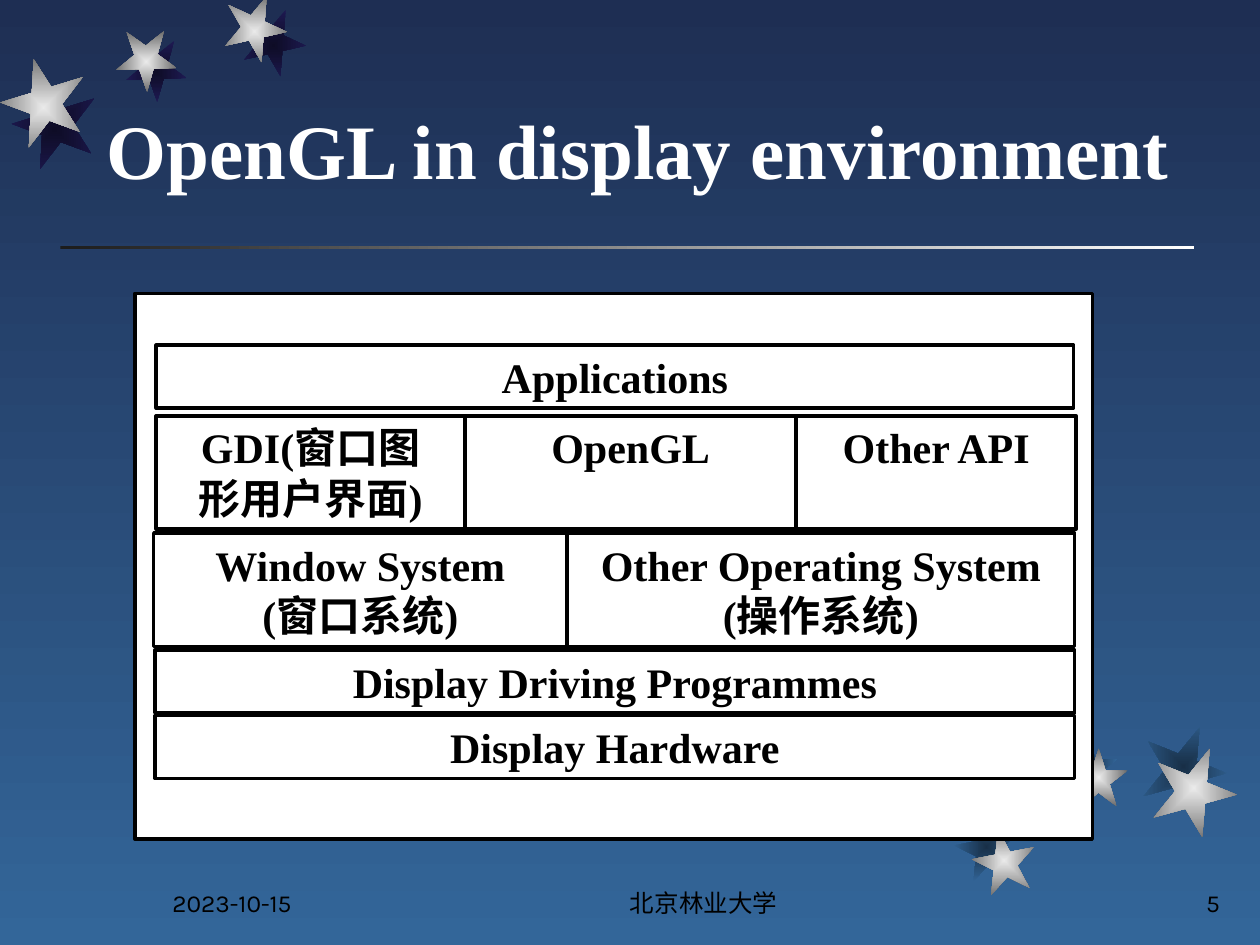
from lxml import etree
from pptx import Presentation
from pptx import util as u
from pptx.dml.color import RGBColor
from pptx.enum import shapes, text
from pptx.oxml.ns import qn

WIDTH, HEIGHT = 10, 7.5
WHITE = RGBColor(0xFF, 0xFF, 0xFF)
BLACK = RGBColor(0, 0, 0)
CHARCOAL = RGBColor(0x1C, 0x1C, 0x1C)
NAVY = RGBColor(0x1E, 0x2E, 0x53)
BLUE = RGBColor(0x33, 0x66, 0x99)
SILVER = (RGBColor(0xEA, 0xEA, 0xEA), RGBColor(0x6C, 0x6C, 0x6C))
VIOLET_SHADE = (RGBColor(0x0E, 0x0C, 0x26), RGBColor(0x1E, 0x1A, 0x53))
BLUE_SHADE = (RGBColor(0x18, 0x2F, 0x47), BLUE)
SERIF, SANS = "Times New Roman", "Karla"
LEFT, CENTER, RIGHT = text.PP_ALIGN.LEFT, text.PP_ALIGN.CENTER, text.PP_ALIGN.RIGHT
TOP, BOTTOM = text.MSO_ANCHOR.TOP, text.MSO_ANCHOR.BOTTOM

TOP_STARS = [
    (1.92, 0.11, 0.5, 167.3, 1.77, 0),
    (1, 0.33, 0.48, 178.3, 0.92, 0.25),
    (0.1, 0.69, 0.67, 200.3, 0.01, 0.52),
]
BOTTOM_STARS = [
    (7.58, 6.47, 0.5, 349, 7.72, 6.58),
    (8.41, 5.85, 0.46, 0, 8.49, 5.94),
    (9.06, 5.75, 0.67, 22, 9.14, 5.92),
]
LAYERS = [
    (2.74, 0.5, (1.24, 8.52), ["Applications"]),
    (3.3, 0.9, (1.24, 3.69, 6.32, 8.54),
     ["GDI(窗口图\n形用户界面)", "OpenGL", "Other API"]),
    (4.23, 0.9, (1.22, 4.5, 8.53),
     ["Window System\n(窗口系统)", "Other Operating System\n(操作系统)"]),
    (5.16, 0.5, (1.23, 8.53), ["Display Driving Programmes"]),
    (5.68, 0.5, (1.23, 8.53), ["Display Hardware"]),
]
FOOTERS = [
    ("2023-10-15", 1.27, 2.08, LEFT),
    ("北京林业大学", 4, 3.17, CENTER),
    ("5", 7.7, 2.08, RIGHT),
]


def inches(*lengths):
    return [u.Inches(length) for length in lengths]


def set_gradient(fill, colours, angle=0):
    fill.gradient()
    fill.gradient_angle = angle
    for stop, colour in zip(fill.gradient_stops, colours):
        stop.color.rgb = colour


def add_plain_shape(page, kind, place):
    shape = page.shapes.add_shape(kind, *inches(*place))
    shape.shadow.inherit = False
    shape.line.fill.background()
    return shape


def add_star(page, left, top, size, turn, colours):
    star = add_plain_shape(page, shapes.MSO_SHAPE.STAR_5_POINT, (left, top, size, size))
    star.rotation = turn
    set_gradient(star.fill, colours)
    gradient = star.element.spPr.find(qn("a:gradFill"))
    linear = gradient.find(qn("a:lin"))
    centred = etree.Element(qn("a:path"), path="rect")
    etree.SubElement(centred, qn("a:fillToRect"), l="50000", t="50000", r="50000", b="50000")
    gradient.replace(linear, centred)


def add_stars(page, stars, shade):
    for left, top, size, turn, *_ in stars:
        add_star(page, left, top, size, turn, shade)
    for *_, size, turn, left, top in stars:
        add_star(page, left, top, size, turn, SILVER)


def write(shape, wording, size=24, font=SERIF, colour=BLACK, bold=True,
          align=CENTER, anchor=TOP):
    frame = shape.text_frame
    frame.word_wrap = True
    frame.vertical_anchor = anchor
    frame.text = wording
    for para in frame.paragraphs:
        para.alignment = align
        para.font.size = u.Pt(size)
        para.font.name = font
        para.font.bold = bold
        para.font.color.rgb = colour


def add_text(page, wording, place, **style):
    write(page.shapes.add_textbox(*inches(*place)), wording, **style)


def add_frame(page, place):
    box = add_plain_shape(page, shapes.MSO_SHAPE.RECTANGLE, place)
    box.fill.background()
    box.line.color.rgb = BLACK
    box.line.width = u.Pt(2)
    return box


def add_layer(page, top, height, edges, labels):
    for left, right, label in zip(edges, edges[1:], labels):
        write(add_frame(page, (left, top, right - left, height)), label)


def main():
    deck = Presentation()
    deck.slide_width, deck.slide_height = inches(WIDTH, HEIGHT)
    page = deck.slides.add_slide(deck.slide_layouts[6])
    set_gradient(page.background.fill, (NAVY, BLUE), 270)

    rule = add_plain_shape(page, shapes.MSO_SHAPE.RECTANGLE, (0.48, 1.95, 9, 0.03))
    set_gradient(rule.fill, (CHARCOAL, WHITE))
    add_stars(page, TOP_STARS, VIOLET_SHADE)
    add_stars(page, BOTTOM_STARS, BLUE_SHADE)

    for wording, left, width, align in FOOTERS:
        add_text(page, wording, (left, 6.83, width, 0.5), size=14, font=SANS,
                 bold=False, align=align, anchor=BOTTOM)

    panel = add_frame(page, (1.07, 2.33, 7.6, 4.33))
    panel.fill.solid()
    panel.fill.fore_color.rgb = WHITE
    add_text(page, "OpenGL in display environment", (0.75, 0, 8.91, 1.6),
             size=44, colour=WHITE, align=LEFT, anchor=BOTTOM)
    for layer in LAYERS:
        add_layer(page, *layer)

    deck.save("out.pptx")


if __name__ == "__main__":
    main()
